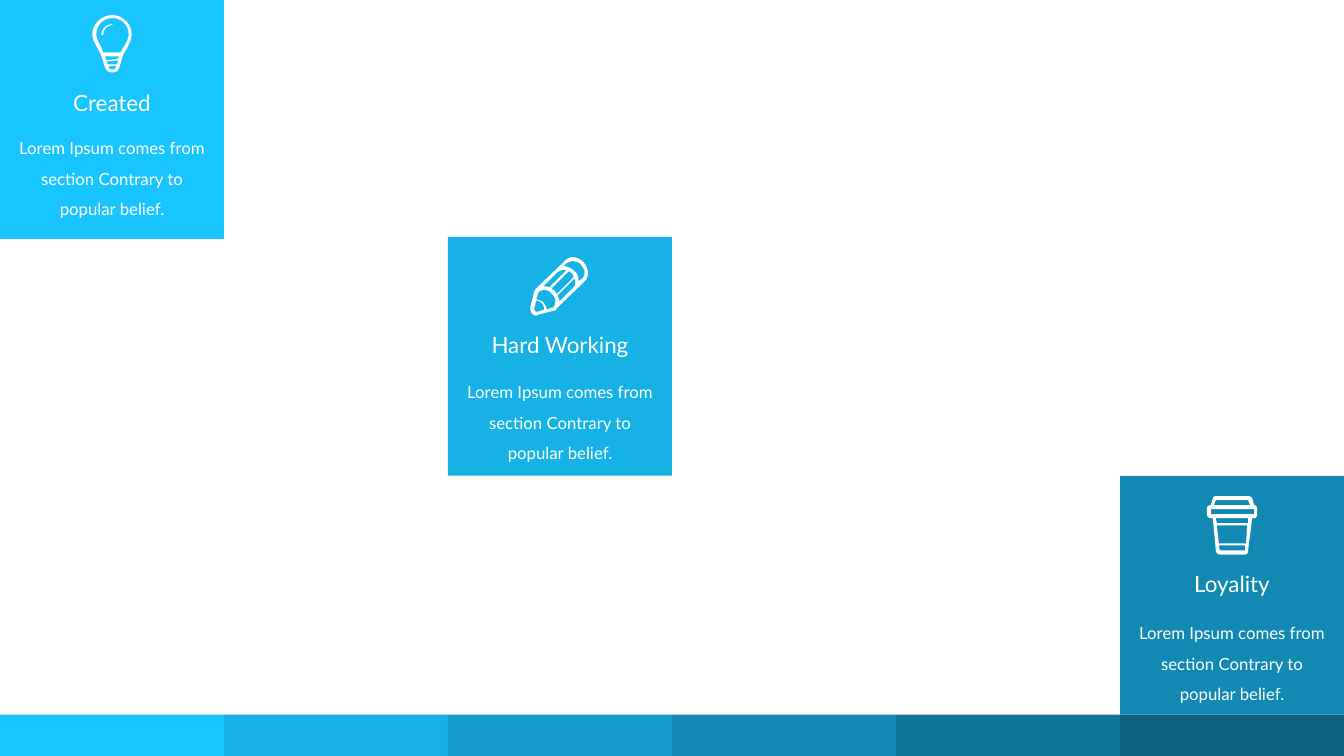
"""Build a slide with three stepped feature cards above a shaded colour strip."""
from pptx import Presentation
from pptx.dml.color import RGBColor
from pptx.enum import shapes, text
from pptx.util import Cm, Pt

WHITE = RGBColor(0xFF, 0xFF, 0xFF)
SHADES = [RGBColor.from_string(code) for code in
          ("19C5FF", "16B1E5", "149DCC", "1189B2", "0F7699", "0C627F")]
SLIDE_WIDTH, SLIDE_HEIGHT = Cm(33.87), Cm(19.05)
COLUMN = SLIDE_WIDTH / len(SHADES)
CARD_HEIGHT = Cm(6.02)
STRIP_TOP = Cm(18.01)
ICON_UNIT = Cm(2.54) / 100
CURVE_STEPS = 8
BELIEF = "Lorem Ipsum comes from section Contrary to popular belief."

# fmt: off
BULB = [
    [(20, 0), (9, 0, 0, 9, 0, 19), (0, 27, 7, 34, 9, 41), (13, 51, 12, 57, 20, 57),
     (27, 57, 27, 51, 30, 41), (33, 34, 39, 27, 39, 19), (39, 9, 30, 0, 20, 0)],
    [(24, 49), (16, 49), (15, 49, 15, 48, 14, 46), (26, 45), (25, 47, 25, 48, 24, 49)],
    [(14, 45), (13, 43, 13, 42, 13, 41), (27, 41), (26, 41, 26, 42, 26, 43)],
    [(20, 54), (18, 54, 17, 54, 16, 51), (24, 50), (23, 53, 22, 54, 20, 54)],
    [(28, 37), (11, 37), (10, 36, 9, 33, 9, 32), (6, 27, 4, 23, 4, 19),
     (4, 10, 11, 3, 20, 3), (29, 3, 36, 10, 36, 19), (36, 23, 34, 27, 31, 32),
     (30, 33, 29, 36, 28, 37)],
]
GLINT = [
    [(20, 9), (14, 9, 9, 14, 9, 19), (9, 20, 9, 20, 10, 20), (10, 20, 11, 20, 11, 19),
     (11, 14, 15, 10, 20, 10)],
]
PENCIL = [
    [(53, 5), (50, 2, 46, 0, 42, 0), (39, 0, 36, 2, 34, 4), (6, 31), (5, 32, 5, 33, 4, 34),
     (0, 50), (0, 51), (0, 55, 3, 58, 6, 58), (7, 58, 8, 57, 8, 57), (24, 53),
     (25, 53, 26, 52, 26, 51), (54, 24), (59, 19, 58, 11, 53, 5)],
    [(29, 43), (29, 42, 28, 40, 27, 38), (44, 21), (45, 24, 45, 28, 43, 30), (29, 44)],
    [(26, 37), (26, 36, 25, 34, 24, 33), (23, 33, 22, 32, 21, 31), (38, 14),
     (39, 14, 40, 15, 41, 16), (42, 17, 43, 18, 43, 20)],
    [(19, 30), (17, 29, 15, 29, 13, 29), (27, 15), (30, 13, 33, 12, 36, 13)],
    [(8, 54), (6, 54), (5, 54, 4, 53, 4, 51), (6, 43), (8, 43, 10, 44, 12, 46),
     (13, 48, 14, 50, 14, 52)],
    [(16, 52), (16, 49, 15, 47, 13, 45), (11, 43, 8, 42, 6, 42), (8, 35),
     (12, 31, 18, 32, 21, 36), (26, 40, 26, 46, 23, 50), (22, 50)],
    [(52, 21), (48, 24), (48, 20, 47, 16, 44, 14), (41, 11, 37, 9, 33, 9), (36, 6),
     (38, 5, 40, 4, 42, 4), (45, 4, 48, 5, 50, 7), (52, 10, 54, 12, 54, 15),
     (54, 17, 53, 20, 52, 21)],
]
CUP = [
    [(47, 9), (45, 2), (44, 1, 43, 0, 41, 0), (9, 0), (8, 0, 6, 1, 6, 2), (4, 9),
     (1, 9, 0, 11, 0, 13), (0, 18), (0, 20, 2, 22, 4, 22), (6, 22), (9, 54),
     (9, 56, 11, 58, 13, 58), (38, 58), (40, 58, 41, 56, 41, 54), (45, 22), (47, 22),
     (49, 22, 50, 20, 50, 18), (50, 13), (50, 11, 49, 9, 47, 9)],
    [(9, 4), (41, 4), (43, 9), (7, 9)],
    [(13, 54), (12, 49), (38, 49), (38, 54)],
    [(39, 47), (12, 47), (10, 29), (40, 29)],
    [(41, 27), (10, 27), (9, 22), (41, 22)],
    [(47, 18), (4, 18), (4, 13), (47, 13)],
]
# fmt: on

CARDS = [
    (5, 3, Cm(11.99), "Loyality", 2.49, [CUP], 50, (0.51, 1.73 + 0.51, 3.33)),
    (2, 1, Cm(5.97), "Hard Working", 4.09, [PENCIL], 59, (0.51, 2.24, 3.28)),
    (0, 0, 0, "Created", 2.51, [BULB, GLINT], 39, (0.38, 2.11, 3.1)),
]


def add_text(words, left, top, width, height, size, wrap=True, spacing=None):
    box = slide.shapes.add_textbox(int(left), int(top), width, height)
    frame = box.text_frame
    frame.word_wrap = wrap
    frame.auto_size = text.MSO_AUTO_SIZE.SHAPE_TO_FIT_TEXT
    line = frame.paragraphs[0]
    line.alignment = text.PP_ALIGN.CENTER
    line.line_spacing = spacing
    run = line.add_run()
    run.text = words
    run.font.name, run.font.size, run.font.color.rgb = "Lato", Pt(size), WHITE


def add_outline(parent, contours, left, top):
    builder = None
    for contour in contours:
        points = [contour[0]]
        for segment in contour[1:]:
            if len(segment) == 2:
                points.append(segment)
                continue
            controls = list(zip((*points[-1], *segment)[::2], (*points[-1], *segment)[1::2]))
            for step in range(1, CURVE_STEPS + 1):
                t = step / CURVE_STEPS
                weights = ((1 - t) ** 3, 3 * t * (1 - t) ** 2, 3 * t * t * (1 - t), t ** 3)
                points.append(tuple(sum(w * c for w, c in zip(weights, axis))
                                    for axis in zip(*controls)))
        spots = [(left + x * ICON_UNIT, top + y * ICON_UNIT) for x, y in points]
        if builder is None:
            builder = parent.build_freeform(*spots[0])
        else:
            builder.move_to(*spots[0])
        builder.add_line_segments(spots[1:], close=True)
    outline = builder.convert_to_shape()
    outline.shadow.inherit = False
    outline.fill.solid()
    outline.fill.fore_color.rgb = WHITE
    outline.line.fill.background()


deck = Presentation()
deck.slide_width, deck.slide_height = SLIDE_WIDTH, SLIDE_HEIGHT
slide = deck.slides.add_slide(deck.slide_layouts[6])

panels = [(column, STRIP_TOP, SLIDE_HEIGHT - STRIP_TOP, shade)
          for column, shade in enumerate(SHADES)]
panels += [(card[0], card[2], CARD_HEIGHT, SHADES[card[1]]) for card in CARDS]
for column, top, height, shade in panels:
    panel = slide.shapes.add_shape(shapes.MSO_SHAPE.RECTANGLE, int(column * COLUMN), top,
                                   int(COLUMN), height)
    panel.shadow.inherit = False
    panel.fill.solid()
    panel.fill.fore_color.rgb = shade
    panel.line.fill.background()

for column, _, top, heading, heading_width, icon, icon_width, drops in CARDS:
    centre = (column + 0.5) * COLUMN
    icon_top, heading_top, belief_top = (top + Cm(drop) for drop in drops)
    parent = slide.shapes.add_group_shape().shapes if len(icon) > 1 else slide.shapes
    for contours in icon:
        add_outline(parent, contours, centre - icon_width * ICON_UNIT / 2, icon_top)
    add_text(heading, centre - Cm(heading_width) / 2, heading_top, Cm(heading_width),
             Cm(0.94), size=16, wrap=False)
    add_text(BELIEF, column * COLUMN + Cm(0.03), belief_top, Cm(5.59), Cm(2.57),
             size=12, spacing=1.5)

deck.save("out.pptx")
